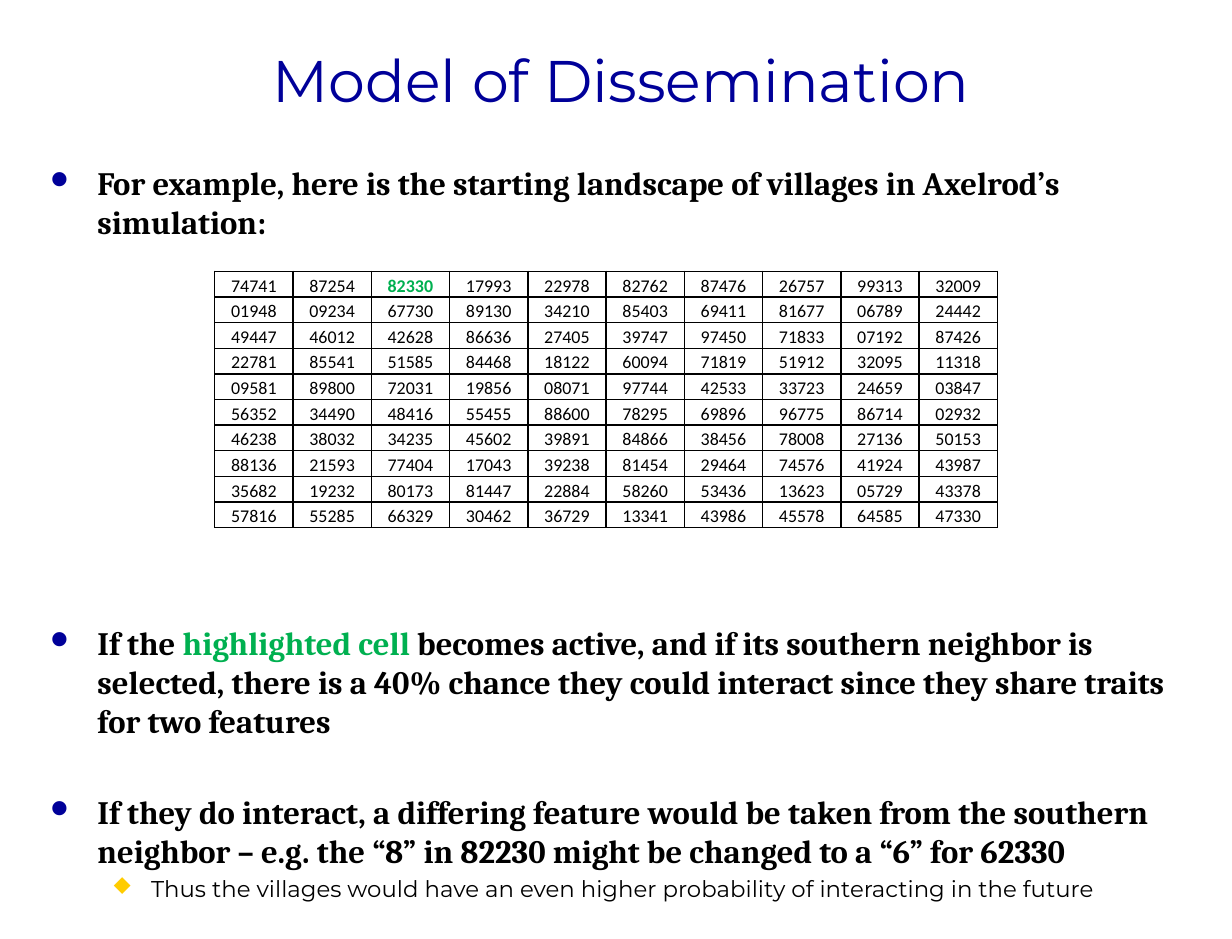
from dataclasses import dataclass

from lxml import etree
from pptx import Presentation
from pptx import util as u
from pptx.dml.color import RGBColor
from pptx.enum import text
from pptx.oxml.ns import qn

NAVY, GREEN, GOLD, BLACK, WHITE = "000099", "00B050", "FFCC00", "000000", "FFFFFF"
BULLET_FONT = "Wingdings"
DISC, DIAMOND = "l", "u"  # Wingdings codes


@dataclass
class Level:
    bullet: str
    bullet_color: str
    bullet_percent: int
    margin: float
    indent: float
    font: str
    size: int
    bold: bool


@dataclass
class Bullet:
    level: Level
    space_before: float
    runs: list[tuple[str, str]]


MAIN = Level(DISC, NAVY, 75, 1.02, -1.02, "Cambria", 20, True)
SUB = Level(DIAMOND, GOLD, 90, 2.18, -0.84, "Montserrat", 14, False)

BULLETS = [
    Bullet(MAIN, 0, [
        ("For example, here is the starting landscape of villages in Axelrod’s simulation:", BLACK)]),
    Bullet(MAIN, 234, [
        ("If the ", BLACK),
        ("highlighted cell ", GREEN),
        ("becomes active, and if its southern neighbor is selected, there is a 40% chance "
         "they could interact since they share traits for two features", BLACK)]),
    Bullet(MAIN, 32, [
        ("If they do interact, a differing feature would be taken from the southern neighbor "
         "– e.g. the “8” in 82230 might be changed to a “6” for 62330", BLACK)]),
    Bullet(SUB, 2.5, [
        ("Thus the villages would have an even higher probability of interacting in the future", BLACK)]),
]

VILLAGES = [row.split() for row in (
    "74741 87254 82330 17993 22978 82762 87476 26757 99313 32009",
    "01948 09234 67730 89130 34210 85403 69411 81677 06789 24442",
    "49447 46012 42628 86636 27405 39747 97450 71833 07192 87426",
    "22781 85541 51585 84468 18122 60094 71819 51912 32095 11318",
    "09581 89800 72031 19856 08071 97744 42533 33723 24659 03847",
    "56352 34490 48416 55455 88600 78295 69896 96775 86714 02932",
    "46238 38032 34235 45602 39891 84866 38456 78008 27136 50153",
    "88136 21593 77404 17043 39238 81454 29464 74576 41924 43987",
    "35682 19232 80173 81447 22884 58260 53436 13623 05729 43378",
    "57816 55285 66329 30462 36729 13341 43986 45578 64585 47330",
)]
ACTIVE = (0, 2)


def rgb(color: str) -> RGBColor:
    return RGBColor.from_string(color)


def set_font(font, name: str, size: int, color: str, bold: bool = False) -> None:
    font.name, font.size, font.bold = name, u.Pt(size), bold
    font.color.rgb = rgb(color)


def add_title(s, title: str) -> None:
    sp = s.shapes.title
    sp.left, sp.top, sp.width, sp.height = u.Cm(0.43), u.Cm(0.2), u.Cm(26.04), u.Cm(3.18)
    sp.fill.solid()
    sp.fill.fore_color.rgb = rgb(WHITE)
    tf = sp.text_frame
    tf.text = title
    tf.auto_size = text.MSO_AUTO_SIZE.NONE
    tf.vertical_anchor = text.MSO_ANCHOR.MIDDLE
    p = tf.paragraphs[0]
    p.alignment, p.line_spacing = text.PP_ALIGN.CENTER, 0.95
    set_font(p.runs[0].font, "Montserrat", 36, NAVY)


def format_bullet(p, level: Level) -> None:
    pPr = p._p.get_or_add_pPr()
    pPr.set("marL", str(u.Cm(level.margin)))
    pPr.set("indent", str(u.Cm(level.indent)))
    color = etree.SubElement(pPr, qn("a:buClr"))
    etree.SubElement(color, qn("a:srgbClr"), val=level.bullet_color)
    etree.SubElement(pPr, qn("a:buSzPct"), val=str(level.bullet_percent * 1000))
    etree.SubElement(pPr, qn("a:buFont"), typeface=BULLET_FONT, pitchFamily="2", charset="2")
    etree.SubElement(pPr, qn("a:buChar"), char=level.bullet)


def add_bullets(s, bullets: list[Bullet]) -> None:
    tf = s.shapes.add_textbox(u.Cm(0.84), u.Cm(3.4), u.Cm(25.6), u.Cm(11.43)).text_frame
    tf.word_wrap = True
    for i, item in enumerate(bullets):
        p = tf.add_paragraph() if i else tf.paragraphs[0]
        p.level = 1 if item.level is SUB else 0
        format_bullet(p, item.level)
        p.space_before = u.Pt(item.space_before)
        for words, color in item.runs:
            r = p.add_run()
            r.text = words
            set_font(r.font, item.level.font, item.level.size, color, item.level.bold)


def add_borders(cell, color: str) -> None:
    tcPr = cell._tc.get_or_add_tcPr()
    for side in ("lnL", "lnR", "lnT", "lnB"):
        ln = etree.SubElement(tcPr, qn(f"a:{side}"), w=str(u.Pt(1)))
        fill = etree.SubElement(ln, qn("a:solidFill"))
        etree.SubElement(fill, qn("a:srgbClr"), val=color)


def add_villages(s, villages: list[list[str]]) -> None:
    table = s.shapes.add_table(len(villages), len(villages[0]), u.Cm(4.65), u.Cm(5.87),
                               u.Cm(16.94), u.Cm(5.56)).table
    table.first_row = table.horz_banding = False
    for i, row in enumerate(villages):
        for j, traits in enumerate(row):
            cell = table.cell(i, j)
            cell.text = traits
            cell.vertical_anchor = text.MSO_ANCHOR.BOTTOM
            cell.margin_left = cell.margin_right = cell.margin_top = u.Cm(0.02)
            cell.margin_bottom = 0
            add_borders(cell, BLACK)
            cell.fill.background()
            p = cell.text_frame.paragraphs[0]
            p.alignment = text.PP_ALIGN.CENTER
            active = (i, j) == ACTIVE
            set_font(p.runs[0].font, "Calibri", 11, GREEN if active else BLACK, active)


def main() -> None:
    prs = Presentation()
    prs.slide_width, prs.slide_height = u.Cm(26.67), u.Cm(20.32)
    s = prs.slides.add_slide(prs.slide_layouts.get_by_name("Title Only"))
    add_title(s, "Model of Dissemination")
    add_bullets(s, BULLETS)
    add_villages(s, VILLAGES)
    prs.save("out.pptx")


if __name__ == "__main__":
    main()
